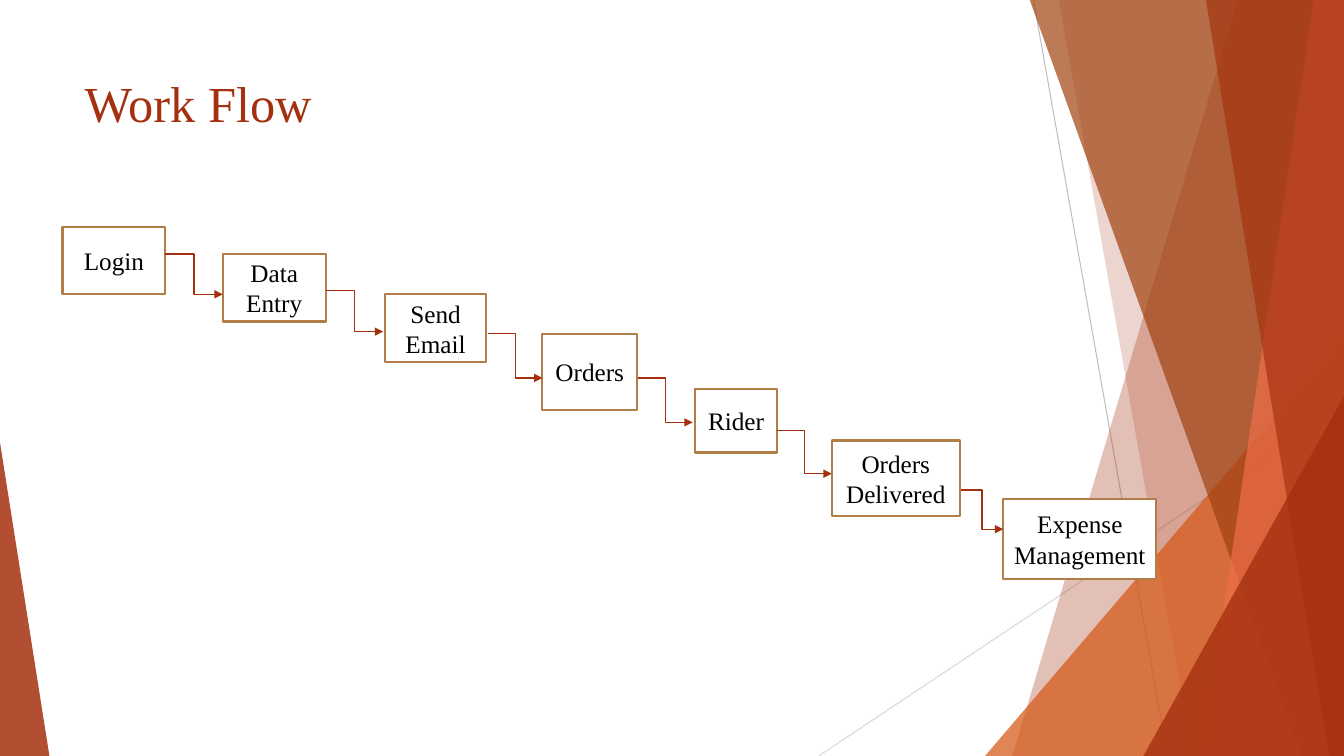
"""Build the Work Flow slide: a descending chain of steps beside angled facets."""
from typing import NamedTuple

from lxml.etree import SubElement
from pptx import Presentation
from pptx.dml.color import RGBColor
from pptx.enum.shapes import MSO_CONNECTOR as Connector, MSO_SHAPE as Shape
from pptx.enum.text import MSO_ANCHOR as Anchor, MSO_AUTO_SIZE as AutoSize, PP_ALIGN as Align
from pptx.oxml.ns import qn
from pptx.util import Pt

EMU_PER_PX = 9144
WIDTH, HEIGHT = 1333, 750
FONT = "Times New Roman"
COLORS = {
    "white": "FFFFFF", "black": "000000", "rust": "A5300F", "orange": "D55816",
    "brown": "A04210", "coral": "EE6E4A", "tan": "B27D49",
    "gray": "BFBFBF", "light_gray": "D9D9D9",
}


class Line(NamedTuple):
    start: tuple[int, int]
    end: tuple[int, int]
    color: str = "rust"
    width: float = 1


class Band(NamedTuple):
    top_left: int
    bottom_left: int
    color: str
    opacity: int


class Triangle(NamedTuple):
    left: int
    top: int
    width: int
    apex: float
    color: str
    opacity: int


class Step(NamedTuple):
    text: str
    left: int
    top: int
    width: int
    height: int


GUIDES = [
    Line((1025, 0), (1158, HEIGHT), "gray", 0.75),
    Line((WIDTH, 403), (812, HEIGHT), "light_gray", 0.75),
]
FACETS = [
    Band(1228, 1004, "rust", 30),
    Band(1050, 1183, "rust", 20),
    Triangle(977, 333, 356, 1, "orange", 72),
    Band(1021, 1291, "brown", 70),
    Band(1303, 1192, "coral", 70),
    Band(1196, 1318, "rust", 65),
    Triangle(1134, 393, 199, 1, "rust", 80),
    Triangle(0, 439, 49, 0, "rust", 85),
]
STEPS = [
    Step("Login", 62, 225, 102, 67),
    Step("Data Entry", 221, 252, 102, 67),
    Step("Send Email", 382, 292, 100, 67),
    Step("Orders", 538, 331, 94, 76),
    Step("Rider", 689, 386, 82, 63),
    Step("Orders Delivered", 825, 437, 127, 75),
    Step("Expense Management", 995, 495, 152, 79),
]
ARROWS = [
    Line((164, 252), (221, 292)),
    Line((323, 288), (380, 329)),
    Line((484, 331), (538, 375)),
    Line((633, 375), (687, 419)),
    Line((771, 427), (825, 470)),
    Line((953, 486), (995, 525)),
]


def px(*values: int) -> list[int]:
    return [value * EMU_PER_PX for value in values]


def rgb(name: str) -> RGBColor:
    return RGBColor.from_string(COLORS[name])


def write_text(shape, text: str, *, size: int, color: str, align: Align, anchor: Anchor) -> None:
    frame = shape.text_frame
    frame.word_wrap = True
    frame.auto_size = AutoSize.NONE
    frame.vertical_anchor = anchor
    paragraph = frame.paragraphs[0]
    paragraph.alignment = align
    run = paragraph.add_run()
    run.text = text
    run.font.name = FONT
    run.font.size = Pt(size)
    run.font.color.rgb = rgb(color)


def draw_line(slide, line: Line, kind: Connector, arrow: bool = False) -> None:
    connector = slide.shapes.add_connector(kind, *px(*line.start, *line.end))
    connector.line.color.rgb = rgb(line.color)
    connector.line.width = Pt(line.width)
    if arrow:
        SubElement(connector.line._get_or_add_ln(), qn("a:tailEnd"), type="triangle")
    SubElement(connector._element.spPr, qn("a:effectLst"))


def draw_facet(slide, facet: Band | Triangle) -> None:
    if isinstance(facet, Band):
        builder = slide.shapes.build_freeform(facet.top_left, -1, scale=EMU_PER_PX)
        builder.add_line_segments([(WIDTH, -1), (WIDTH, HEIGHT), (facet.bottom_left, HEIGHT)])
        shape = builder.convert_to_shape()
    else:
        box = px(facet.left, facet.top, facet.width, HEIGHT - facet.top)
        shape = slide.shapes.add_shape(Shape.ISOSCELES_TRIANGLE, *box)
        shape.adjustments[0] = facet.apex
    shape.shadow.inherit = False
    shape.line.fill.background()
    shape.fill.solid()
    shape.fill.fore_color.rgb = rgb(facet.color)
    color = shape._element.spPr.find(f"{qn('a:solidFill')}/{qn('a:srgbClr')}")
    SubElement(color, qn("a:alpha"), val=str(facet.opacity * 1000))


def draw_step(slide, step: Step) -> None:
    shape = slide.shapes.add_shape(Shape.RECTANGLE, *px(*step[1:]))
    shape.shadow.inherit = False
    shape.fill.solid()
    shape.fill.fore_color.rgb = rgb("white")
    shape.line.color.rgb = rgb("tan")
    shape.line.width = Pt(1.5)
    write_text(shape, step.text, size=18, color="black", align=Align.CENTER, anchor=Anchor.MIDDLE)


def main() -> None:
    presentation = Presentation()
    presentation.slide_width, presentation.slide_height = px(WIDTH, HEIGHT)
    slide = presentation.slides.add_slide(presentation.slide_layouts.get_by_name("Title Only"))
    for guide in GUIDES:
        draw_line(slide, guide, Connector.STRAIGHT)
    for facet in FACETS:
        draw_facet(slide, facet)
    title = slide.shapes.title
    title.left, title.top, title.width, title.height = px(74, 67, 940, 144)
    write_text(title, "Work Flow", size=36, color="rust", align=Align.LEFT, anchor=Anchor.TOP)
    for step in STEPS:
        draw_step(slide, step)
    for arrow in ARROWS:
        draw_line(slide, arrow, Connector.ELBOW, arrow=True)
    presentation.save("out.pptx")


if __name__ == "__main__":
    main()
